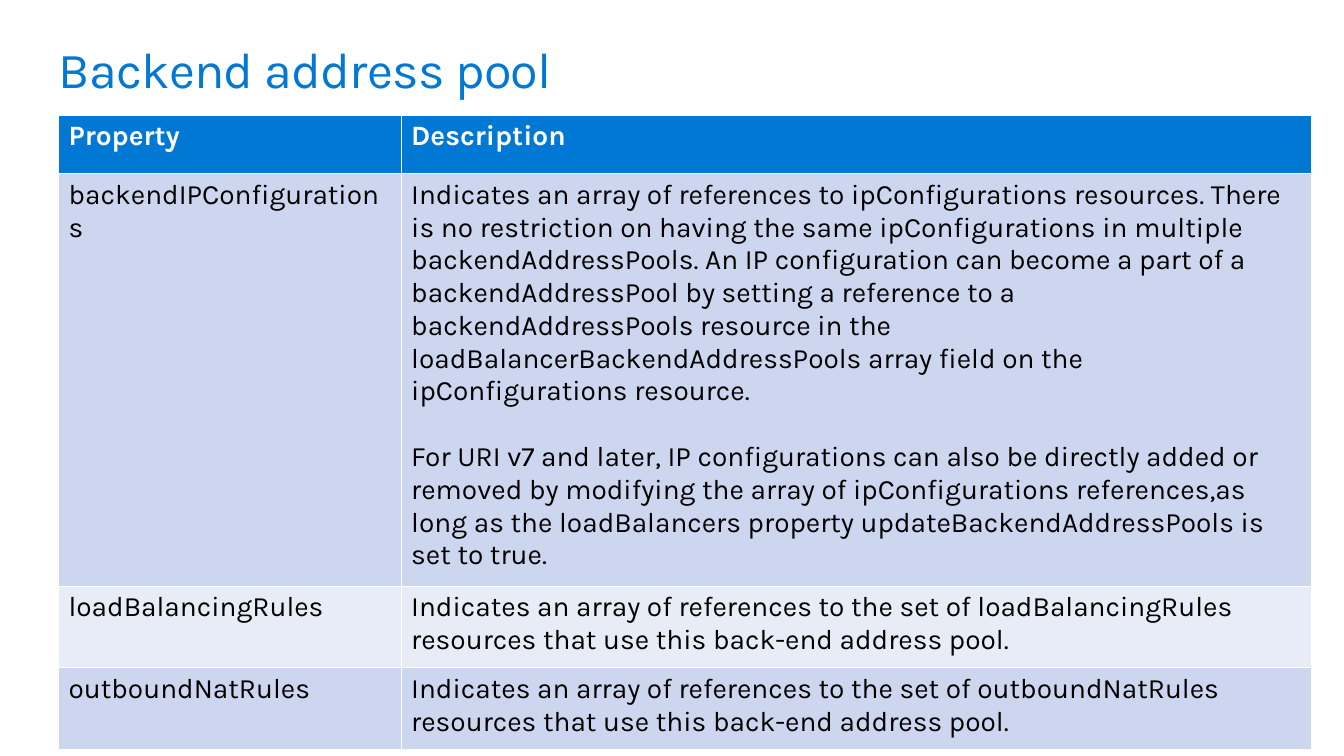
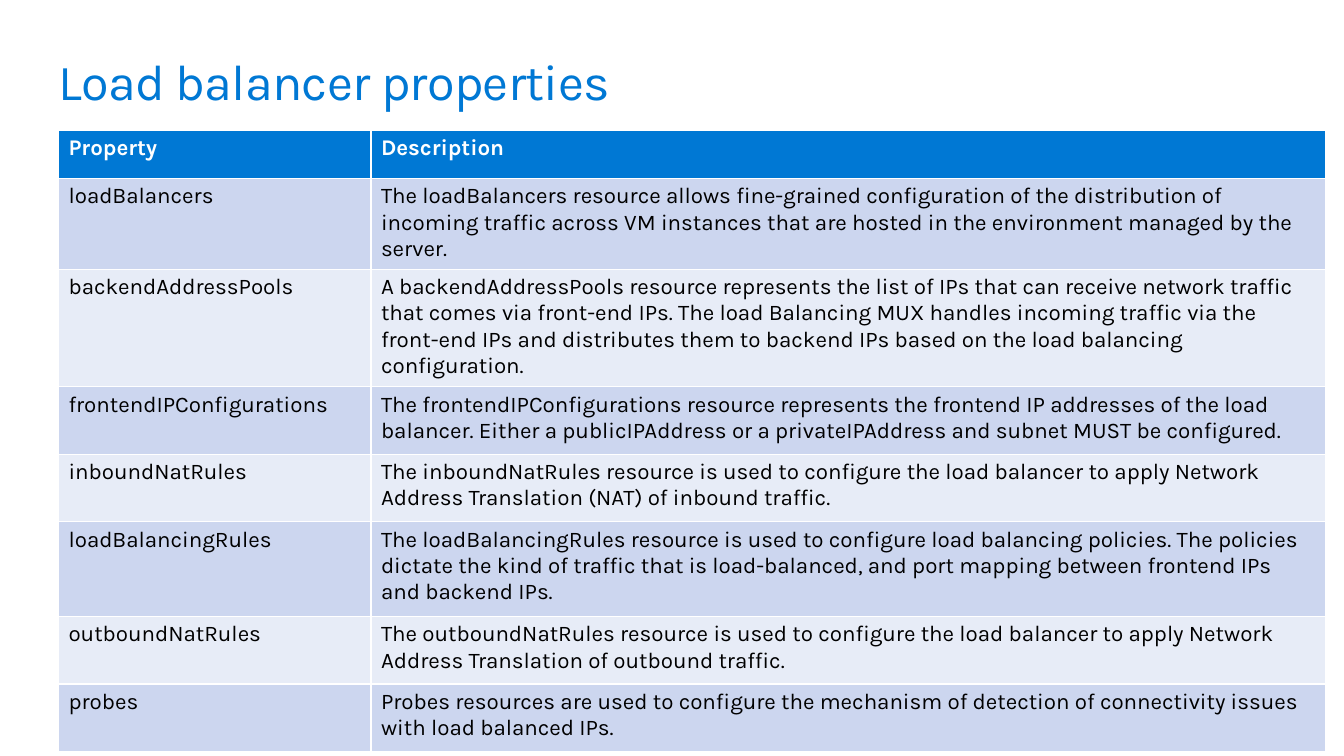
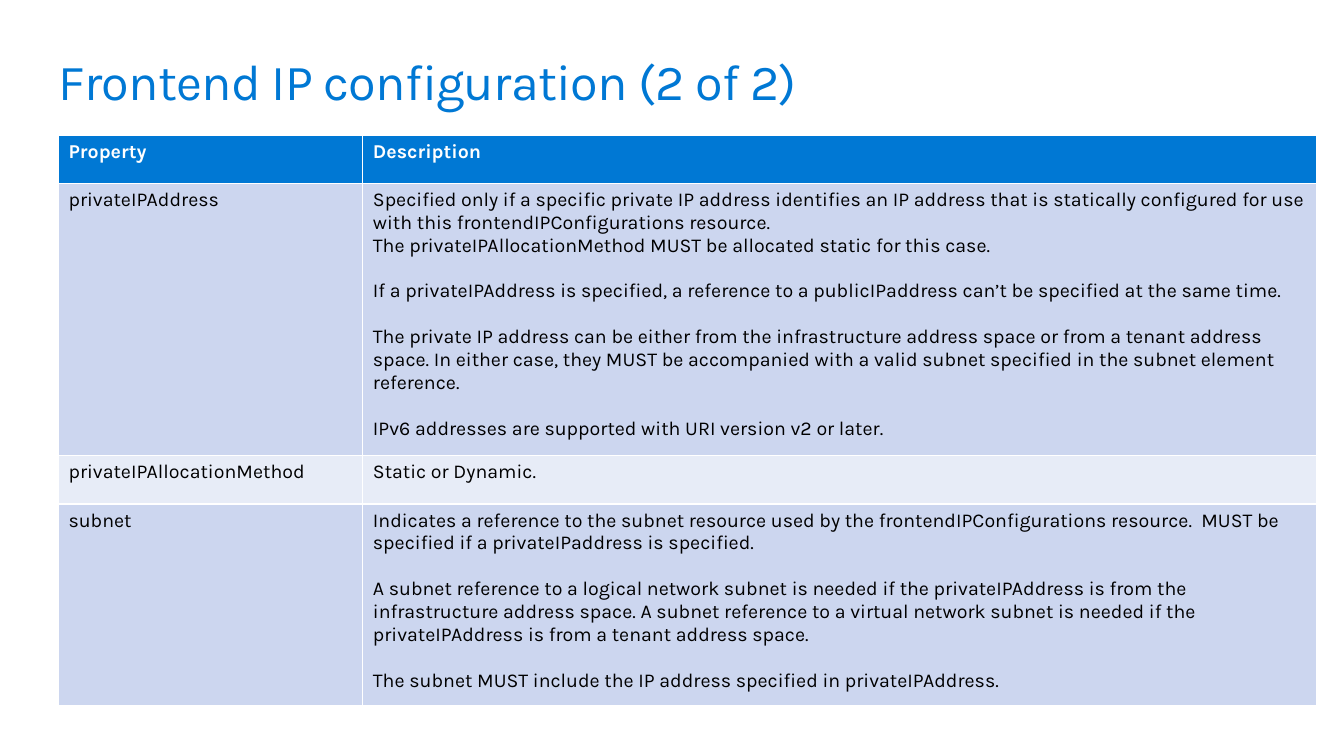
import pptx
import pptx.util
import pptx.dml.color
import pptx.enum.text

RGBColor = pptx.dml.color.RGBColor
BLUE = RGBColor(0x00, 0x78, 0xD4)
WHITE = RGBColor(0xFF, 0xFF, 0xFF)
BLACK = RGBColor(0x00, 0x00, 0x00)
BANDS = (RGBColor(0xCC, 0xD6, 0xEF), RGBColor(0xE7, 0xEC, 0xF7))

FONT = "Karla"
LINE_HEIGHT = 1.17
SLIDE_WIDTH = pptx.util.Inches(13.33)
SLIDE_HEIGHT = pptx.util.Inches(7.5)
LEFT_MARGIN = 4.35
HEADINGS = ("Property", "Description")

BACKEND_POOL = [
    ("backendIPConfigurations",
     "Indicates an array of references to ipConfigurations resources. There is no restriction on "
     "having the same ipConfigurations in multiple backendAddressPools. An IP configuration can "
     "become a part of a backendAddressPool by setting a reference to a backendAddressPools "
     "resource in the loadBalancerBackendAddressPools array field on the ipConfigurations "
     "resource.\n\n"
     "For URI v7 and later, IP configurations can also be directly added or removed by modifying "
     "the array of ipConfigurations references,as long as the loadBalancers property "
     "updateBackendAddressPools is set to true."),
    ("loadBalancingRules",
     "Indicates an array of references to the set of loadBalancingRules resources that use this "
     "back-end address pool."),
    ("outboundNatRules",
     "Indicates an array of references to the set of outboundNatRules resources that use this "
     "back-end address pool."),
]

LOAD_BALANCER = [
    ("loadBalancers",
     "The loadBalancers resource allows fine-grained configuration of the distribution of "
     "incoming traffic across VM instances that are hosted in the environment managed by the "
     "server."),
    ("backendAddressPools",
     "A backendAddressPools resource represents the list of IPs that can receive network traffic "
     "that comes via front-end IPs. The load Balancing MUX handles incoming traffic via the "
     "front-end IPs and distributes them to backend IPs based on the load balancing "
     "configuration."),
    ("frontendIPConfigurations",
     "The frontendIPConfigurations resource represents the frontend IP addresses of the load "
     "balancer. Either a publicIPAddress or a privateIPAddress and subnet MUST be configured."),
    ("inboundNatRules",
     "The inboundNatRules resource is used to configure the load balancer to apply Network "
     "Address Translation (NAT) of inbound traffic."),
    ("loadBalancingRules",
     "The loadBalancingRules resource is used to configure load balancing policies. The policies "
     "dictate the kind of traffic that is load-balanced, and port mapping between frontend IPs "
     "and backend IPs."),
    ("outboundNatRules",
     "The outboundNatRules resource is used to configure the load balancer to apply Network "
     "Address Translation of outbound traffic."),
    ("probes",
     "Probes resources are used to configure the mechanism of detection of connectivity issues "
     "with load balanced IPs."),
]

FRONTEND_IP = [
    ("privateIPAddress",
     "Specified only if a specific private IP address identifies an IP address that is statically "
     "configured for use with this frontendIPConfigurations resource.\n"
     "The privateIPAllocationMethod MUST be allocated static for this case.\n\n"
     "If a privateIPAddress is specified, a reference to a publicIPaddress can’t be specified at "
     "the same time.\n\n"
     "The private IP address can be either from the infrastructure address space or from a tenant "
     "address space. In either case, they MUST be accompanied with a valid subnet specified in "
     "the subnet element reference.\n\n"
     "IPv6 addresses are supported with URI version v2 or later."),
    ("privateIPAllocationMethod", "Static or Dynamic."),
    ("subnet",
     "Indicates a reference to the subnet resource used by the frontendIPConfigurations "
     "resource.  MUST be specified if a privateIPaddress is specified.\n\n"
     "A subnet reference to a logical network subnet is needed if the privateIPAddress is from "
     "the infrastructure address space. A subnet reference to a virtual network subnet is needed "
     "if the privateIPAddress is from a tenant address space.\n\n"
     "The subnet MUST include the IP address specified in privateIPAddress."),
]


def across(percent):
    return round(SLIDE_WIDTH * percent / 100)


def down(percent):
    return round(SLIDE_HEIGHT * percent / 100)


def add_run(paragraph, text, size, color, bold=False):
    run = paragraph.add_run()
    run.text = text
    run.font.name = FONT
    run.font.size = pptx.util.Pt(size)
    run.font.color.rgb = color
    run.font.bold = bold
    return run


def add_titled_slide(deck, heading, top, width, height):
    slide = deck.slides.add_slide(deck.slide_layouts[5])
    title = slide.shapes.title
    title.left, title.top = across(LEFT_MARGIN), down(top)
    title.width, title.height = across(width), down(height)
    frame = title.text_frame
    frame.margin_left = frame.margin_top = frame.margin_right = frame.margin_bottom = 0
    frame.word_wrap = True
    frame.vertical_anchor = pptx.enum.text.MSO_ANCHOR.TOP
    frame.auto_size = pptx.enum.text.MSO_AUTO_SIZE.SHAPE_TO_FIT_TEXT
    paragraph = frame.paragraphs[0]
    paragraph.alignment = pptx.enum.text.PP_ALIGN.LEFT
    run = add_run(paragraph, heading, 36, BLUE)
    run.font._element.set("spc", "-50")
    return slide


def fill_cell(cell, text, size, color, background, bold=False):
    cell.fill.solid()
    cell.fill.fore_color.rgb = background
    frame = cell.text_frame
    paragraph = frame.paragraphs[0]
    for section_index, section in enumerate(text.split("\n\n")):
        for line_index, line in enumerate(section.split("\n")):
            if section_index or line_index:
                paragraph = frame.add_paragraph()
            if section_index and not line_index:
                paragraph.space_before = pptx.util.Pt(round(size * LINE_HEIGHT, 1))
            add_run(paragraph, line, size, color, bold)


def add_property_table(slide, properties, top, columns, rows, size):
    table = slide.shapes.add_table(
        len(rows), len(columns), across(LEFT_MARGIN), down(top),
        across(sum(columns)), down(sum(rows))).table
    for column, width in zip(table.columns, columns):
        column.width = across(width)
    for row, height in zip(table.rows, rows):
        row.height = down(height)
    for index, heading in enumerate(HEADINGS):
        fill_cell(table.cell(0, index), heading, size, WHITE, BLUE, bold=True)
    for row_index, entry in enumerate(properties, start=1):
        band = BANDS[(row_index - 1) % len(BANDS)]
        for index, text in enumerate(entry):
            fill_cell(table.cell(row_index, index), text, size, BLACK, band)


def main():
    deck = pptx.Presentation()
    deck.slide_width, deck.slide_height = SLIDE_WIDTH, SLIDE_HEIGHT

    slide = add_titled_slide(deck, "Backend address pool", 5.07, 60.17, 8.13)
    add_property_table(slide, BACKEND_POOL, 15.2, (25.5, 67.75),
                       (7.75, 50.25, 10.8, 10.8), 20)

    slide = add_titled_slide(deck, "Load balancer properties", 6.67, 48.84, 8.53)
    two_lines, three_lines = 8.93, 12.53
    add_property_table(slide, LOAD_BALANCER, 17.2, (23.25, 71),
                       (6.4, two_lines, three_lines, two_lines, two_lines,
                        three_lines, two_lines, two_lines), 16)

    slide = add_titled_slide(deck, "Frontend IP configuration (2 of 2)", 6.67, 82.6, 8.13)
    add_property_table(slide, FRONTEND_IP, 17.87, (22.65, 71),
                       (6.4, 36, 6.4, 26.67), 14)

    deck.save("out.pptx")


if __name__ == "__main__":
    main()
